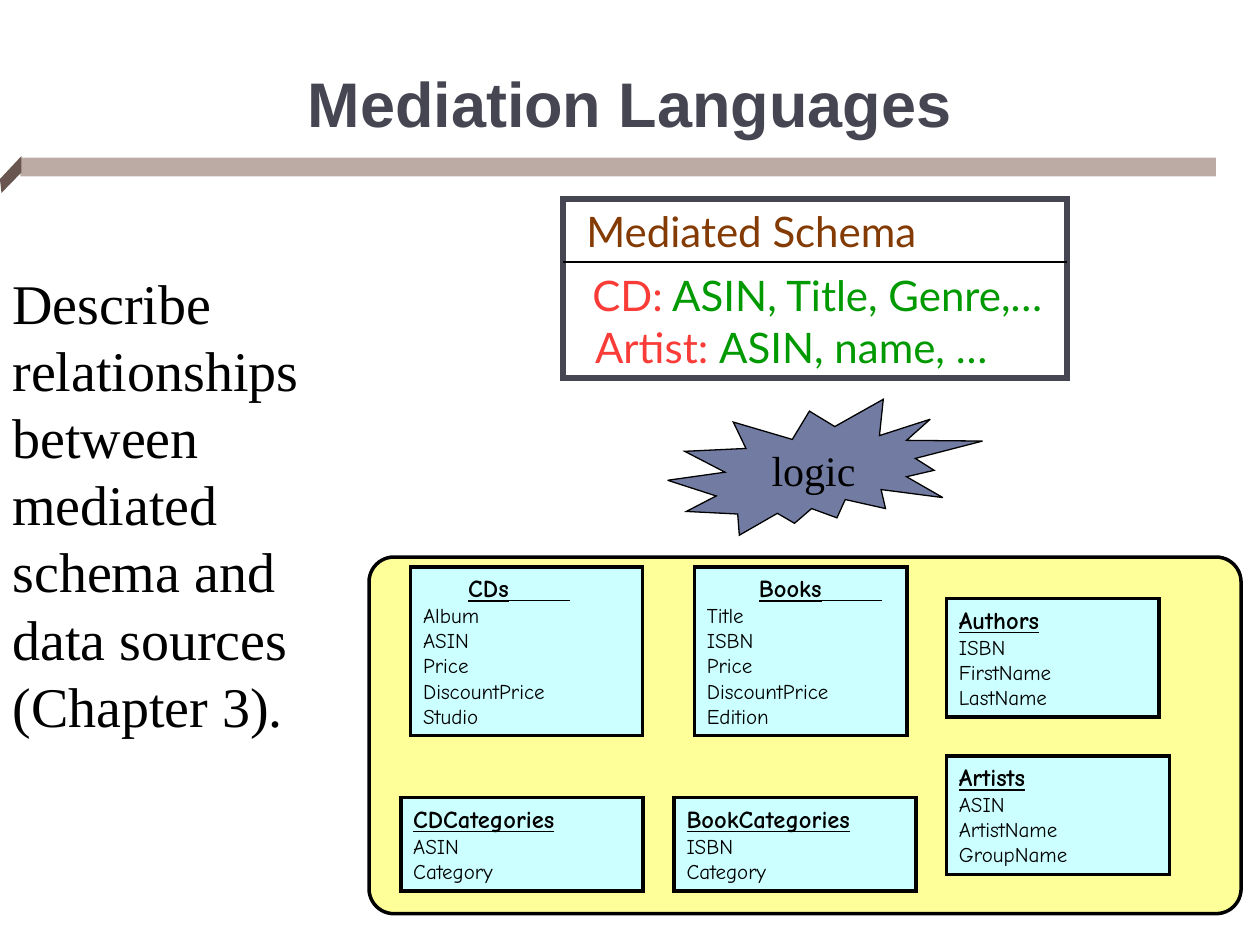
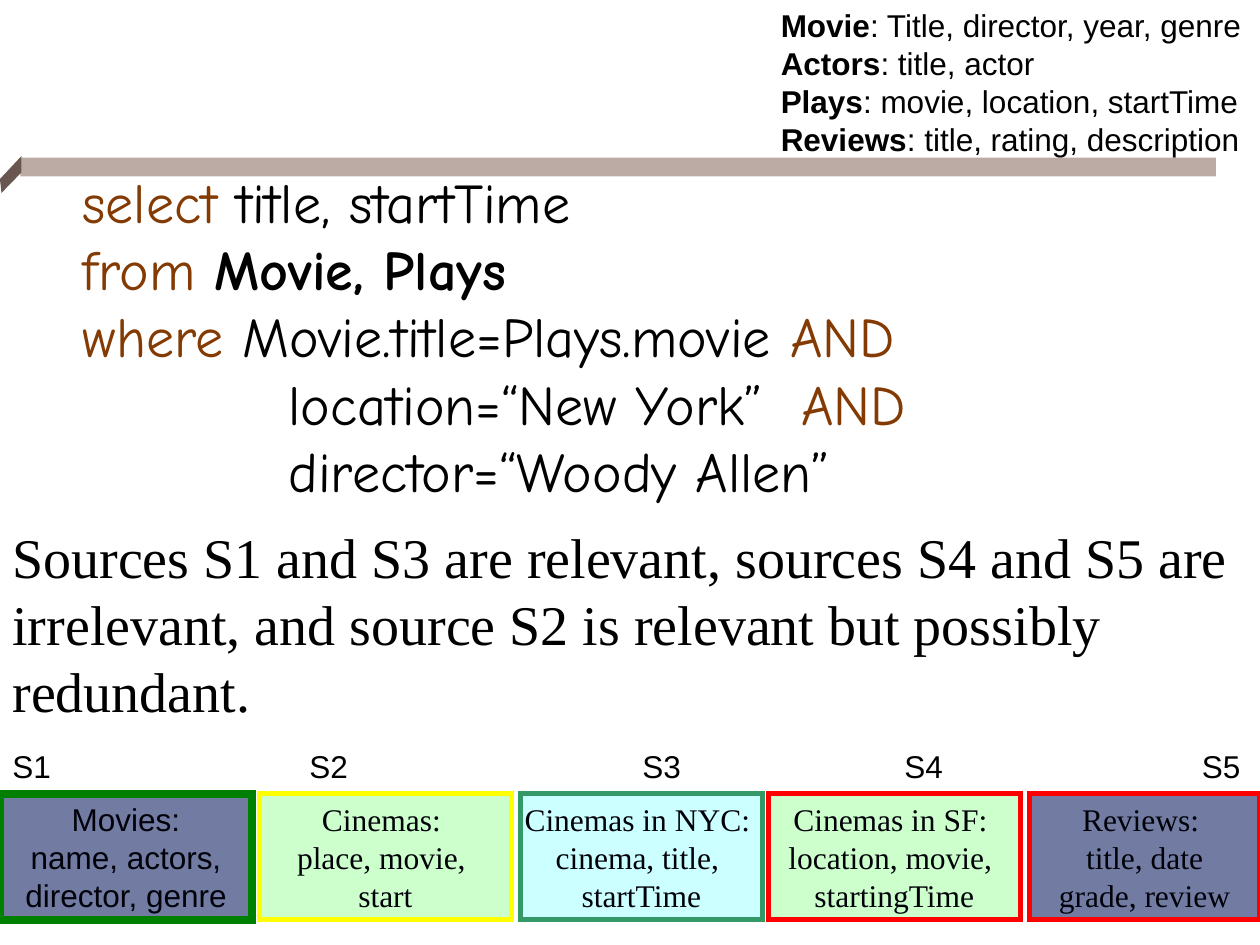
from dataclasses import dataclass
from typing import Optional

from lxml import etree
from pptx import Presentation
from pptx import util as u
from pptx.dml.color import RGBColor
from pptx.enum import shapes, text
from pptx.oxml.ns import qn

BLACK = RGBColor(0, 0, 0)
INK = RGBColor(0x00, 0x01, 0x09)
SLATE = RGBColor(0x46, 0x46, 0x53)
BAND = RGBColor(0xBC, 0xAB, 0xA5)
BAND_FOLD = RGBColor(0x6A, 0x56, 0x50)
BROWN = RGBColor(0x83, 0x3A, 0x03)
CORAL = RGBColor(0xF9, 0x3C, 0x37)
LEAF = RGBColor(0x00, 0x99, 0x00)
BLUE = RGBColor(0x72, 0x7C, 0xA3)
AQUA = RGBColor(0xCC, 0xFF, 0xFF)
MINT = RGBColor(0xCC, 0xFF, 0xCC)
CREAM = RGBColor(0xFF, 0xFF, 0x99)
YELLOW = RGBColor(0xFF, 0xFF, 0x00)
RED = RGBColor(0xFF, 0x00, 0x00)
GREEN = RGBColor(0x00, 0x80, 0x00)
TEAL = RGBColor(0x33, 0x99, 0x66)

SANS, SERIF, COMIC, LATO = "Arial", "Times New Roman", "Comic Neue", "Lato"
LEFT, CENTER, RIGHT = text.PP_ALIGN.LEFT, text.PP_ALIGN.CENTER, text.PP_ALIGN.RIGHT
TOP, MIDDLE, BOTTOM = text.MSO_ANCHOR.TOP, text.MSO_ANCHOR.MIDDLE, text.MSO_ANCHOR.BOTTOM
RECTANGLE = shapes.MSO_SHAPE.RECTANGLE
LINE_HEIGHT = 1.2


@dataclass
class Run:
    text: str
    color: Optional[RGBColor] = None
    bold: bool = False
    underline: bool = False
    size: Optional[int] = None


def cm(values):
    return [u.Cm(value) for value in values]


def write(shape, lines, size, font, color=BLACK, align=LEFT, anchor=TOP, wrap=False):
    frame = shape.text_frame
    frame.word_wrap = wrap
    frame.vertical_anchor = anchor
    for index, line in enumerate(lines):
        paragraph = frame.add_paragraph() if index else frame.paragraphs[0]
        paragraph.alignment = align
        runs = [Run(line)] if isinstance(line, str) else line
        tallest = max(part.size or size for part in runs)
        paragraph.line_spacing = u.Pt(LINE_HEIGHT * tallest)
        for part in runs:
            run = paragraph.add_run()
            run.text = part.text
            run.font.name = font
            run.font.size = u.Pt(part.size or size)
            run.font.bold = part.bold
            run.font.underline = part.underline
            run.font.color.rgb = part.color or color


def add_text(slide, box, lines, size, font, **style):
    write(slide.shapes.add_textbox(*cm(box)), lines, size, font, **style)


def paint(shape, fill=None, line=None, width=0.75):
    shape.shadow.inherit = False
    if fill is None:
        shape.fill.background()
    else:
        shape.fill.solid()
        shape.fill.fore_color.rgb = fill
    if line is None:
        shape.line.fill.background()
    else:
        shape.line.color.rgb = line
        shape.line.width = u.Pt(width)
        outline = shape._element.spPr.find(qn("a:ln"))
        etree.SubElement(outline, qn("a:miter"), lim="800000")


def add_box(slide, kind, box, fill=None, line=None, width=0.75):
    shape = slide.shapes.add_shape(kind, *cm(box))
    paint(shape, fill, line, width)
    return shape


def add_rule(slide, start, end):
    rule = slide.shapes.add_connector(shapes.MSO_CONNECTOR.STRAIGHT, *cm(start + end))
    rule.line.color.rgb = BLACK
    rule.line.width = u.Pt(0.75)
    etree.SubElement(rule._element.spPr, qn("a:effectLst"))


def add_relation(slide, box, name, columns, indent=0):
    shape = add_box(slide, RECTANGLE, box, AQUA, BLACK, 2)
    heading = [Run(name, bold=True, underline=True, size=14)]
    if indent:
        properties = shape.text_frame.paragraphs[0]._p.get_or_add_pPr()
        properties.set("indent", str(u.Cm(indent)))
    write(shape, [heading] + columns, 12, COMIC, wrap=True)


def add_source(slide, label, label_left, left, width, lines, fill, line,
               border=3, font=SERIF):
    add_text(slide, (label_left, 14.94, 1.4, 1.02), [label], 18, SANS)
    shape = add_box(slide, RECTANGLE, (left, 16, width, 2.54), fill, line, border)
    write(shape, lines, 18, font, color=INK, align=CENTER, anchor=MIDDLE)


def new_slide(presentation):
    slide = presentation.slides.add_slide(presentation.slide_layouts[6])
    add_box(slide, RECTANGLE, (0.41, 3.18, 24.1, 0.38), BAND)
    corners = [(0.43, 3.15), (0, 3.61), (0.03, 3.89), (0.43, 3.48)]
    points = [tuple(cm(corner)) for corner in corners]
    builder = slide.shapes.build_freeform(*points[0])
    builder.add_line_segments(points[1:], close=True)
    paint(builder.convert_to_shape(), BAND_FOLD)
    return slide


def build_languages(presentation):
    slide = new_slide(presentation)
    add_text(slide, (1.9, 1.07, 21.59, 1.88),
             [[Run("Mediation Languages", SLATE, bold=True)]], 36, SANS,
             align=CENTER, anchor=BOTTOM, wrap=True)

    panel = add_box(slide, shapes.MSO_SHAPE.ROUNDED_RECTANGLE,
                    (7.44, 11.23, 17.58, 7.19), CREAM, BLACK, 2)
    panel.adjustments[0] = 0.07
    add_relation(slide, (14, 11.43, 4.29, 3.4), "Books",
                 ["Title", "ISBN", "Price", "DiscountPrice", "Edition"], 1.05)
    add_relation(slide, (8.28, 11.43, 4.67, 3.4), "CDs",
                 ["Album", "ASIN", "Price", "DiscountPrice", "Studio"], 0.91)
    for heading_end, underline_end in [(16.57, 17.78), (10.26, 11.49)]:
        add_rule(slide, (heading_end, 12.11), (underline_end, 12.11))
    add_relation(slide, (13.59, 16.08, 4.88, 1.88), "BookCategories", ["ISBN", "Category"])
    add_relation(slide, (8.08, 16.08, 4.88, 1.88), "CDCategories", ["ASIN", "Category"])
    add_relation(slide, (19.08, 15.24, 4.5, 2.39), "Artists",
                 ["ASIN", "ArtistName", "GroupName"])
    add_relation(slide, (19.08, 12.07, 4.29, 2.39), "Authors",
                 ["ISBN", "FirstName", "LastName"])

    mediated_schema = [
        ((11.3, 5.31, 9.96, 1.27), [Run("CD:", CORAL), Run(" ASIN, Title, Genre,…", LEAF)]),
        ((11.3, 6.35, 9.07, 1.27), [Run("Artist: ", CORAL), Run("ASIN, name, … ", LEAF)]),
        ((11.1, 4.01, 7.62, 1.27), [Run("Mediated Schema", BROWN)]),
    ]
    for box, runs in mediated_schema:
        add_text(slide, box, [runs], 24, LATO, align=RIGHT)
    add_box(slide, RECTANGLE, (11.35, 4.01, 10.16, 3.61), line=SLATE, width=3)
    add_rule(slide, (11.35, 5.28), (21.51, 5.28))

    logic = add_box(slide, shapes.MSO_SHAPE.EXPLOSION2, (13.46, 8.05, 6.35, 2.74), BLUE, BLACK)
    write(logic, ["logic"], 24, SERIF, align=CENTER, anchor=MIDDLE)
    add_text(slide, (0, 5.28, 7.09, 9.75),
             ["Describe relationships between mediated schema and data sources",
              "(Chapter 3)."], 32, SERIF, wrap=True)


def build_sources(presentation):
    slide = new_slide(presentation)
    add_source(slide, "S1", 0, 0, 5.08,
               ["Movies:", " name, actors, ", "director, genre"], BLUE, GREEN, 4.5, SANS)
    add_source(slide, "S2", 5.99, 5.23, 5.08,
               ["Cinemas: ", "place, movie, ", "start"], MINT, YELLOW)
    add_source(slide, "S3", 12.7, 10.49, 4.88,
               ["Cinemas in NYC: ", "cinema, title, ", "startTime"], AQUA, TEAL)
    add_source(slide, "S4", 17.98, 15.49, 5.08,
               ["Cinemas in SF: ", "location, movie, ", "startingTime"], MINT, RED)
    add_source(slide, "S5", 23.98, 20.75, 4.65,
               ["Reviews: ", "title, date", "grade, review"], BLUE, RED)

    schema = [
        ("Movie", "Title, director, year, genre"),
        ("Actors", "title, actor"),
        ("Plays", "movie, location, startTime"),
        ("Reviews", "title, rating, description"),
    ]
    add_text(slide, (15.49, 0, 9.88, 3.3),
             [[Run(name, bold=True), Run(": " + columns)] for name, columns in schema],
             18, SANS)

    query = [
        [Run("select", BROWN), Run(" title, startTime")],
        [Run("from ", BROWN), Run("Movie, Plays", bold=True)],
        [Run("where ", BROWN), Run("Movie.title=Plays.movie "), Run("AND", BROWN)],
        [Run("           location=“New York”  "), Run("AND", BROWN)],
        "           director=“Woody Allen”",
    ]
    add_text(slide, (1.42, 3.25, 17.6, 7.04), query, 32, COMIC)
    add_text(slide, (0, 10.41, 25.04, 4.32),
             ["Sources S1 and S3 are relevant, sources S4 and S5 are irrelevant, "
              "and source S2 is relevant but possibly redundant."], 32, SERIF, wrap=True)


def main():
    presentation = Presentation()
    presentation.slide_width = u.Cm(25.4)
    presentation.slide_height = u.Cm(19.05)
    build_languages(presentation)
    build_sources(presentation)
    presentation.save("out.pptx")


if __name__ == "__main__":
    main()
